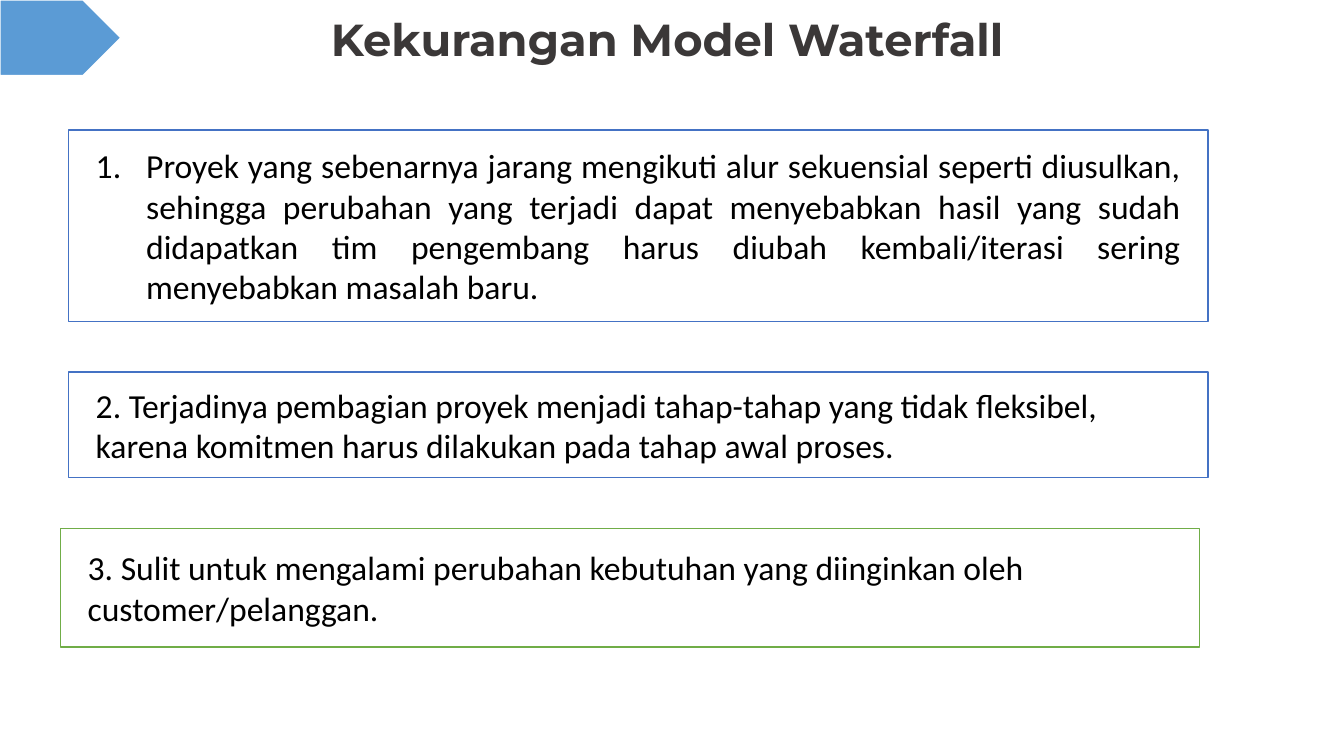
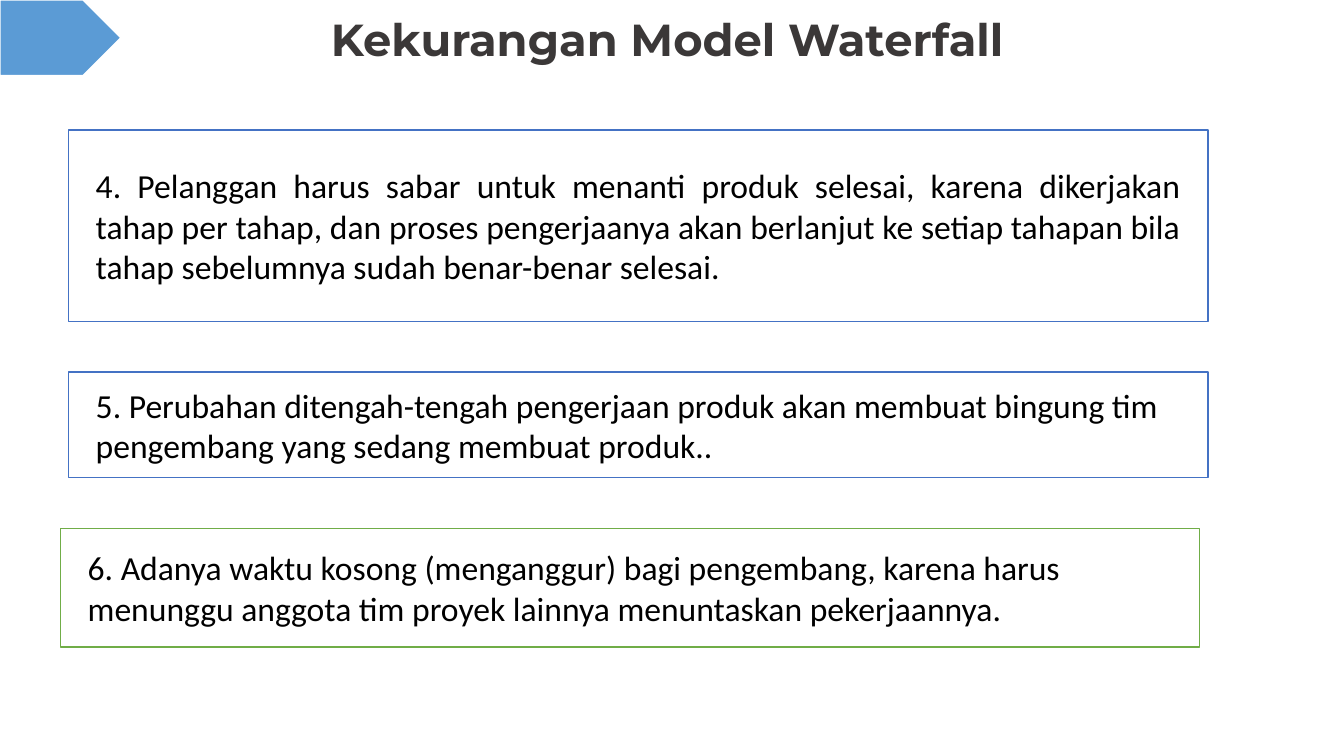
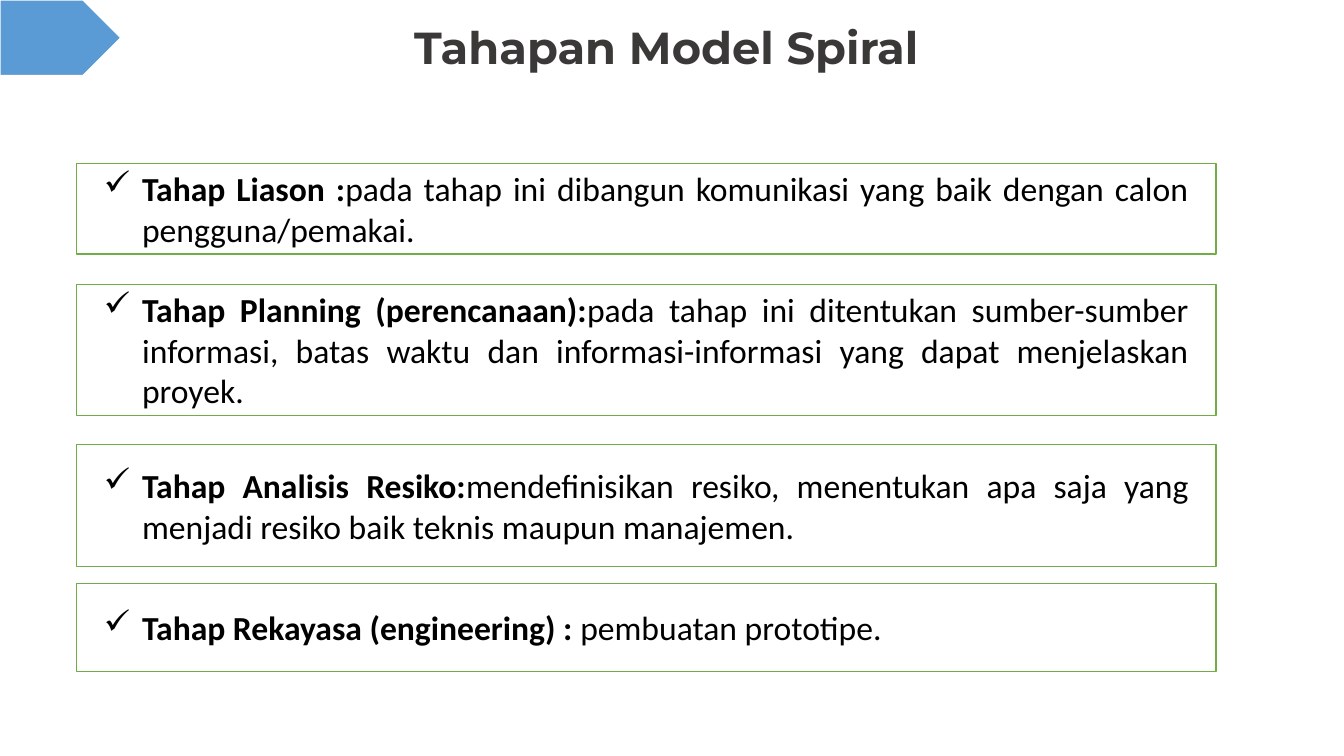
from dataclasses import dataclass

from lxml import etree
from pptx import Presentation
from pptx.dml.color import RGBColor
from pptx.enum.shapes import MSO_SHAPE
from pptx.enum.text import MSO_ANCHOR, PP_ALIGN
from pptx.oxml.ns import qn
from pptx.util import Inches, Pt

RECT = MSO_SHAPE.RECTANGLE
ARROW = MSO_SHAPE.PENTAGON
MIDDLE = MSO_ANCHOR.MIDDLE
LEFT = PP_ALIGN.LEFT
CENTER = PP_ALIGN.CENTER
JUSTIFY = PP_ALIGN.JUSTIFY


@dataclass(frozen=True)
class Theme:
    white: str = "FFFFFF"
    black: str = "000000"
    dark: str = "3B3838"
    sky: str = "5B9BD5"
    blue: str = "4472C4"
    green: str = "70AD47"
    head_font: str = "Montserrat"
    body_font: str = "Calibri"
    head_size: int = 32
    body_size: int = 24
    line: int = 1
    inset: float = 0.27
    width: float = 11.3


THEME = Theme()

NUMBER = ("a:buAutoNum", {"type": "arabicPeriod"}, 0.5)
CHECK = ("a:buChar", {"char": "✓"}, 0.38)

FLAWS = [
    [
        ("Proyek yang sebenarnya jarang mengikuti alur sekuensial seperti diusulkan, sehingga perubahan yang terjadi dapat menyebabkan hasil yang sudah didapatkan tim pengembang harus diubah kembali/iterasi sering menyebabkan masalah baru.", NUMBER),
        ("2. Terjadinya pembagian proyek menjadi tahap-tahap yang tidak fleksibel, karena komitmen harus dilakukan pada tahap awal proses.", None),
        ("3. Sulit untuk mengalami perubahan kebutuhan yang diinginkan oleh customer/pelanggan.", None),
    ],
    [
        ("4. Pelanggan harus sabar untuk menanti produk selesai, karena dikerjakan tahap per tahap, dan proses pengerjaanya akan berlanjut ke setiap tahapan bila tahap sebelumnya sudah benar-benar selesai.", None),
        ("5. Perubahan ditengah-tengah pengerjaan produk akan membuat bingung tim pengembang yang sedang membuat produk..", None),
        ("6. Adanya waktu kosong (menganggur) bagi pengembang, karena harus menunggu anggota tim proyek lainnya menuntaskan pekerjaannya.", None),
    ],
]
FLAW_ROWS = [
    (0.68, 1.9, THEME.blue, JUSTIFY),
    (0.68, 1.05, THEME.blue, LEFT),
    (0.6, 1.18, THEME.green, LEFT),
]

STAGES = [
    ("Tahap Liason :", "pada tahap ini dibangun komunikasi yang baik dengan calon pengguna/pemakai."),
    ("Tahap Planning (perencanaan):", "pada tahap ini ditentukan sumber-sumber informasi, batas waktu dan informasi-informasi yang dapat menjelaskan proyek."),
    ("Tahap Analisis Resiko:", "mendefinisikan resiko, menentukan apa saja yang menjadi resiko baik teknis maupun manajemen."),
    ("Tahap Rekayasa (engineering) : ", "pembuatan prototipe."),
]
STAGE_ROWS = [(1.62, 0.9), (2.82, 1.3), (4.41, 1.21), (5.79, 0.87)]


def style(run, font, size, color, bold=False):
    run.font.name = font
    run.font.size = Pt(size)
    run.font.color.rgb = RGBColor.from_string(color)
    run.font.bold = bold


def add_form(slide, kind, area, fill, line):
    form = slide.shapes.add_shape(kind, *map(Inches, area))
    form.shadow.inherit = False
    form.fill.solid()
    form.fill.fore_color.rgb = RGBColor.from_string(fill)
    form.line.color.rgb = RGBColor.from_string(line)
    form.line.width = Pt(THEME.line)
    return form


def add_mark(para, mark):
    tag, attrs, indent = mark
    props = para._p.get_or_add_pPr()
    props.set("marL", str(Inches(indent)))
    props.set("indent", str(-Inches(indent)))
    etree.SubElement(props, qn(tag), attrs)


def add_box(slide, left, top, height, line, align, text, mark=None, lead=""):
    area = (left, top, THEME.width, height)
    frame = add_form(slide, RECT, area, THEME.white, line).text_frame
    frame.word_wrap = True
    frame.vertical_anchor = MIDDLE
    frame.margin_left = frame.margin_right = Inches(THEME.inset)
    frame.margin_top = frame.margin_bottom = Inches(THEME.inset)
    para = frame.paragraphs[0]
    para.alignment = align
    if mark:
        add_mark(para, mark)
    for part, bold in ((lead, True), (text, False)):
        if part:
            run = para.add_run()
            run.text = part
            style(run, THEME.body_font, THEME.body_size, THEME.black, bold)


def add_title(slide, text, area):
    frame = slide.shapes.add_textbox(*map(Inches, area)).text_frame
    frame.word_wrap = True
    frame.vertical_anchor = MIDDLE
    frame.text = text
    para = frame.paragraphs[0]
    para.alignment = CENTER
    para.line_spacing = 0.9
    style(para.runs[0], THEME.head_font, THEME.head_size, THEME.dark, True)


def add_page(deck, title, area):
    slide = deck.slides.add_slide(deck.slide_layouts[6])
    add_title(slide, title, area)
    add_form(slide, ARROW, (0, 0, 1.2, 0.75), THEME.sky, THEME.white)
    return slide


def add_flaws(deck, items):
    slide = add_page(deck, "Kekurangan Model Waterfall", (1.38, 0.04, 10.48, 0.75))
    top, gap = 1.29, 0.5
    for (left, height, line, align), (text, mark) in zip(FLAW_ROWS, items):
        add_box(slide, left, top, height, line, align, text, mark)
        top += height + gap


def add_stages(deck):
    slide = add_page(deck, "Tahapan Model Spiral", (1.27, 0.07, 10.68, 0.85))
    for (top, height), (lead, text) in zip(STAGE_ROWS, STAGES):
        add_box(slide, 0.76, top, height, THEME.green, JUSTIFY, text, CHECK, lead)


def main():
    deck = Presentation()
    deck.slide_width = Inches(13.33)
    deck.slide_height = Inches(7.5)
    for items in FLAWS:
        add_flaws(deck, items)
    add_stages(deck)
    deck.save("out.pptx")


if __name__ == "__main__":
    main()
